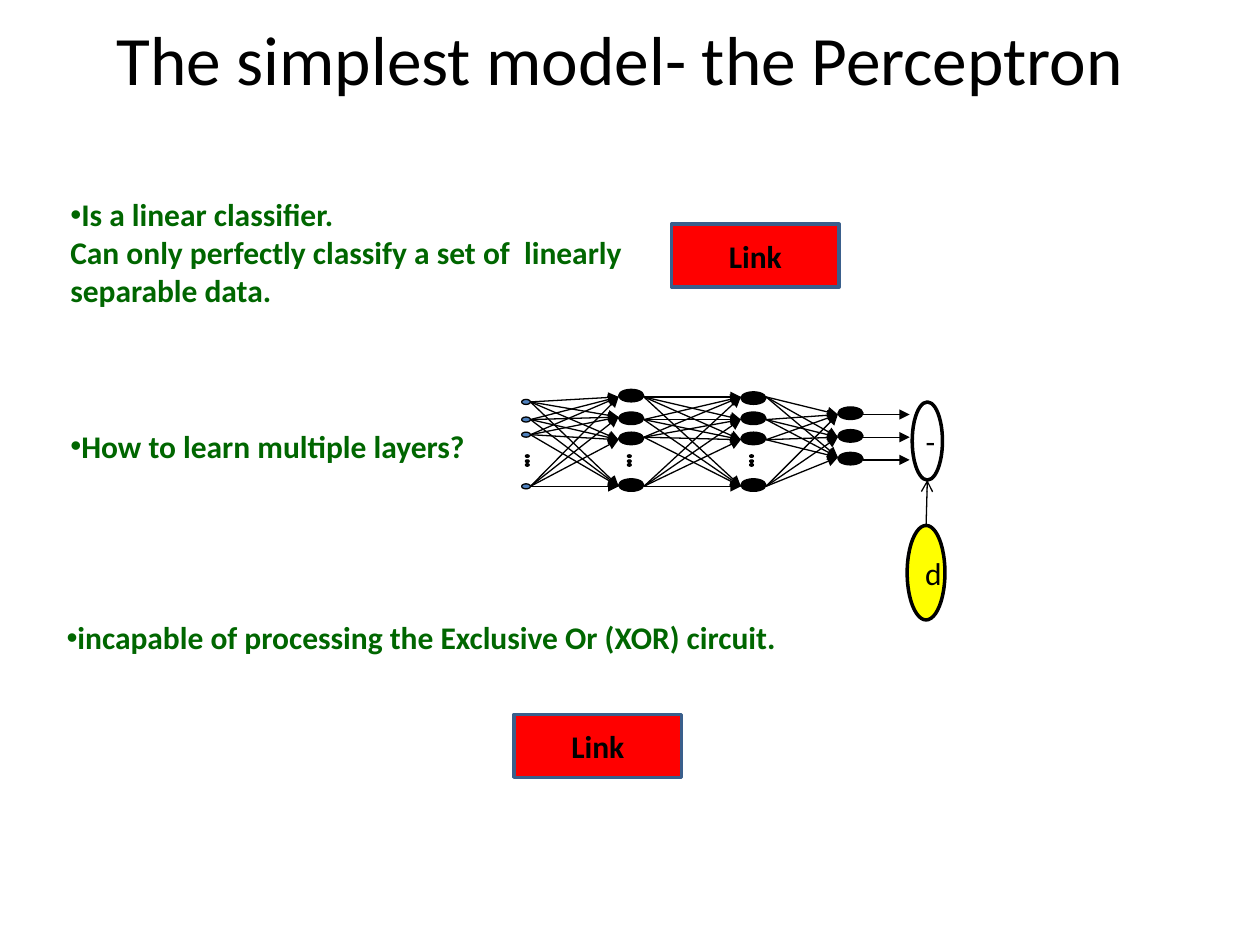
from dataclasses import dataclass
from itertools import product

from lxml import etree
from pptx import Presentation, util as u
from pptx.dml.color import RGBColor
from pptx.enum import shapes, text
from pptx.oxml.ns import qn

COLOURS = {
    "black": "000000",
    "white": "FFFFFF",
    "green": "006600",
    "red": "FF0000",
    "yellow": "FFFF00",
    "blue": "4F81BD",
    "border": "3A5F8C",
}
FONT = "Calibri"


@dataclass
class Box:
    left: float
    top: float
    width: float
    height: float

    def lengths(self) -> list:
        return [u.Inches(n) for n in (self.left, self.top, self.width, self.height)]


@dataclass
class Layer:
    left: float
    width: float
    height: float
    fill: str
    tops: list[float]
    entries: list[float]  # heights where arrows arrive
    exits: list[float]  # heights where arrows leave


def colour(name: str) -> RGBColor:
    return RGBColor.from_string(COLOURS[name])


def set_font(paragraph, size: float, name: str, bold: bool = False) -> None:
    font = paragraph.font
    font.name, font.size, font.bold = FONT, u.Pt(size), bold
    font.color.rgb = colour(name)


def add_text(slide, box: Box, lines: list[str], size: float, name: str, bold: bool = False,
             bullet: bool = False):
    frame = slide.shapes.add_textbox(*box.lengths()).text_frame
    frame.word_wrap = True
    for index, line in enumerate(lines):
        paragraph = frame.paragraphs[0] if index == 0 else frame.add_paragraph()
        paragraph.text = line
        if bullet and index == 0:
            properties = paragraph._p.get_or_add_pPr()
            etree.SubElement(properties, qn("a:buFont"), typeface="Arial")
            etree.SubElement(properties, qn("a:buChar"), char="•")
        set_font(paragraph, size, name, bold)
    return frame


def add_shape(parent, kind, box: Box, fill: str, line: str = "black", width: float = 0.75,
              label: str = "", bold: bool = False):
    shape = parent.shapes.add_shape(kind, *box.lengths())
    shape.shadow.inherit = False
    shape.fill.solid()
    shape.fill.fore_color.rgb = colour(fill)
    shape.line.color.rgb = colour(line)
    shape.line.width = u.Pt(width)
    if label:
        frame = shape.text_frame
        frame.vertical_anchor = text.MSO_ANCHOR.MIDDLE
        paragraph = frame.paragraphs[0]
        paragraph.text = label
        paragraph.alignment = text.PP_ALIGN.CENTER
        set_font(paragraph, 18, "black", bold)
    return shape


def add_arrow(parent, start: tuple[float, float], end: tuple[float, float],
              head: str = "triangle") -> None:
    connector = parent.shapes.add_connector(
        shapes.MSO_CONNECTOR.STRAIGHT, *[u.Inches(n) for n in (*start, *end)])
    connector.line.color.rgb = colour("black")
    connector.line.width = u.Pt(0.75)
    etree.SubElement(connector.line._get_or_add_ln(), qn("a:tailEnd"), type=head)
    etree.SubElement(connector._element.spPr, qn("a:effectLst"))


def add_network(slide) -> None:
    oval = shapes.MSO_SHAPE.OVAL
    network = slide.shapes.add_group_shape()
    layers = [
        Layer(4.14, 0.07, 0.04, "blue", [3.17, 3.31, 3.43, 3.84],
              [], [3.19, 3.33, 3.45, 3.86]),
        Layer(4.91, 0.2, 0.1, "black", [3.09, 3.27, 3.43, 3.8],
              [3.15, 3.31, 3.49, 3.86], [3.15, 3.33, 3.47, 3.86]),
        Layer(5.88, 0.2, 0.1, "black", [3.11, 3.27, 3.43, 3.8],
              [3.15, 3.33, 3.49, 3.86], [3.15, 3.33, 3.49, 3.86]),
        Layer(6.65, 0.2, 0.1, "black", [3.23, 3.41, 3.59],
              [3.29, 3.47, 3.63], [3.29, 3.47, 3.65]),
    ]

    # Nodes of each layer
    for layer in layers:
        for top in layer.tops:
            add_shape(network, oval, Box(layer.left, top, layer.width, layer.height), layer.fill)

    # Ellipsis dots for the omitted nodes
    for left, top in product([4.17, 4.98, 5.95], [3.61, 3.65, 3.68]):
        add_shape(network, oval, Box(left, top, 0.03, 0.02), "black")

    # Full connections between neighbouring layers, then the outputs
    for source, target in zip(layers, layers[1:]):
        for leave, arrive in product(source.exits, target.entries):
            add_arrow(network, (source.left + source.width, leave), (target.left, arrive))
    for height in layers[-1].exits:
        add_arrow(network, (6.85, height), (7.22, height))

    # Desired output and its comparison with the network output
    add_shape(network, oval, Box(7.2, 4.17, 0.3, 0.75), "yellow", width=2, label="d")
    add_shape(network, oval, Box(7.24, 3.19, 0.24, 0.62), "white", width=2, label="-")
    add_arrow(network, (7.35, 4.17), (7.36, 3.81), "arrow")


def main() -> None:
    presentation = Presentation()
    presentation.slide_width, presentation.slide_height = u.Inches(10), u.Inches(7.5)
    slide = presentation.slides.add_slide(presentation.slide_layouts[6])

    # Title
    title = add_text(slide, Box(0.42, -0.17, 9, 1.25),
                     ["The simplest model- the Perceptron"], 39.6, "black")
    title.vertical_anchor = text.MSO_ANCHOR.MIDDLE
    title.paragraphs[0].alignment = text.PP_ALIGN.CENTER

    # Statements
    statements = [
        (Box(0.43, 4.86, 5.87, 0.4),
         ["incapable of processing the Exclusive Or (XOR) circuit."]),
        (Box(0.46, 1.5, 5, 1.01),
         ["Is a linear classifier.",
          "Can only perfectly classify a set of  linearly separable data."]),
        (Box(0.46, 3.34, 5, 0.4), ["How to learn multiple layers?"]),
    ]
    for box, lines in statements:
        add_text(slide, box, lines, 18, "green", bold=True, bullet=True)

    add_network(slide)

    # Link buttons
    for left, top in [(5.33, 1.78), (4.08, 5.67)]:
        add_shape(slide, shapes.MSO_SHAPE.RECTANGLE, Box(left, top, 1.33, 0.5), "red",
                  "border", 2, "Link", bold=True)

    presentation.save("out.pptx")


if __name__ == "__main__":
    main()
